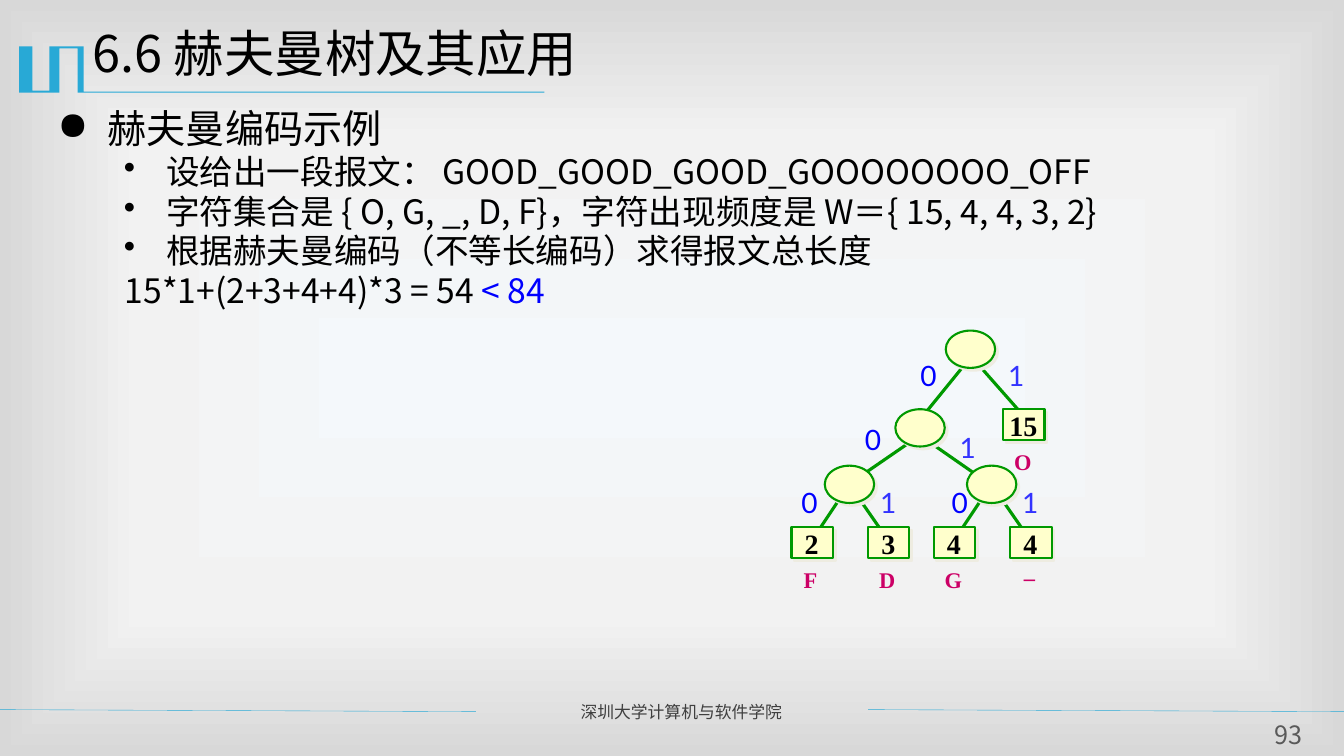
from dataclasses import dataclass

from lxml.etree import SubElement
from pptx import Presentation
from pptx.dml.color import RGBColor
from pptx.enum.shapes import MSO_CONNECTOR as Connector, MSO_SHAPE as Shape
from pptx.enum.text import MSO_ANCHOR as Anchor, PP_ALIGN as Align
from pptx.oxml import parse_xml
from pptx.oxml.ns import nsdecls, qn
from pptx.util import Pt

PX = 9144  # 100 px to the inch


@dataclass(frozen=True)
class Theme:
    sans: str = "Noto Sans CJK SC"
    serif: str = "Times New Roman"
    digits: str = "Lato"
    black: str = "000000"
    accent: str = "28A9D6"
    footer: str = "3F3F3F"
    number: str = "595959"
    blue: str = "0000FF"
    one_bit: str = "3333FF"
    green: str = "009900"
    node: str = "FFFFCC"
    shade: str = "EEECE1"
    symbol: str = "CC0066"
    backdrop: tuple = ((0, "F4F8FB"), (63, "F2F2F2"), (100, "D8D8D8"))
    title_size: int = 36
    head_size: int = 28
    body_size: int = 24
    tree_size: int = 20
    symbol_size: int = 16
    number_size: int = 18
    footer_size: int = 12


THEME = Theme()


def color(value):
    return RGBColor.from_string(value)


# Text
def add_span(para, text, size, tint=THEME.black, face=THEME.sans, bold=False):
    span = para.add_run()
    span.text = text
    span.font.size = Pt(size)
    span.font.bold = bold
    span.font.color.rgb = color(tint)
    span.font.name = face
    SubElement(span.font._element, qn("a:ea")).set("typeface", face)


def add_box(parent, left, top, width, height, anchor=Anchor.TOP, wrap=True):
    box = parent.shapes.add_textbox(left * PX, top * PX, width * PX, height * PX)
    frame = box.text_frame
    frame.word_wrap = wrap
    frame.vertical_anchor = anchor
    return frame


def add_label(parent, middle, top, width, height, text, size, tint):
    frame = add_box(parent, middle - width // 2, top, width, height, Anchor.MIDDLE, False)
    para = frame.paragraphs[0]
    para.alignment = Align.CENTER
    add_span(para, text, size, tint, THEME.serif, True)


def set_indent(para, margin, indent, bullet):
    props = para._p.get_or_add_pPr()
    props.set("marL", str(margin * PX))
    props.set("indent", str(indent * PX))
    if bullet:
        SubElement(props, qn("a:buChar")).set("char", bullet)


# Lines and tree parts
def add_line(parent, start, end, tint, weight):
    line = parent.shapes.add_connector(
        Connector.STRAIGHT, *(value * PX for value in (*start, *end)))
    line.line.color.rgb = color(tint)
    line.line.width = Pt(weight)
    SubElement(line._element.spPr, qn("a:effectLst"))


def add_edge(tree, start, end):
    add_line(tree, start, end, THEME.green, 2.25)


def add_node(tree, kind, left, top, width, height):
    node = tree.shapes.add_shape(kind, left * PX, top * PX, width * PX, height * PX)
    node.fill.solid()
    node.fill.fore_color.rgb = color(THEME.node)
    node.line.color.rgb = color(THEME.green)
    node.line.width = Pt(1.5)
    node.shadow.inherit = False
    effects = node._element.spPr.find(qn("a:effectLst"))
    effects.append(parse_xml(
        f'<a:outerShdw {nsdecls("a")} dist="35560" dir="2700000" algn="ctr" rotWithShape="0">'
        f'<a:srgbClr val="{THEME.shade}"/></a:outerShdw>'))


def add_branch(tree, left, top):
    add_node(tree, Shape.OVAL, left, top, 49, 37)


def add_leaf(tree, left, top, weight, symbol):
    middle = left + 20
    add_node(tree, Shape.RECTANGLE, left, top, 41, 31)
    add_label(tree, middle, top - 6, 34 if len(weight) == 1 else 48, 44,
              weight, THEME.tree_size, THEME.black)
    drop = 24 if symbol == "_" else 33
    add_label(tree, middle - 1, top + drop, 36, 37, symbol, THEME.symbol_size, THEME.symbol)


def add_bit(tree, left, top, bit):
    frame = add_box(tree, left, top, 47, 44)
    tint = THEME.blue if bit == "0" else THEME.one_bit
    add_span(frame.paragraphs[0], bit, THEME.tree_size, tint, THEME.digits)


def add_leaf_pair(tree, left, zero_left, first, second):
    top = 462
    add_edge(tree, (left + 16, top + 31), (left - 8, top + 67))
    add_edge(tree, (left + 33, top + 31), (left + 58, top + 67))
    add_leaf(tree, left - 33, top + 61, *first)
    add_leaf(tree, left + 43, top + 61, *second)
    add_branch(tree, left, top)
    add_bit(tree, zero_left, top + 15, "0")
    add_bit(tree, left + 45, top + 15, "1")


# Slide parts
def paint_background(page):
    page.background.fill.gradient()
    old = page.element.find(".//" + qn("a:gradFill"))
    stops = "".join(f'<a:gs pos="{spot * 1000}"><a:srgbClr val="{tint}"/></a:gs>'
                    for spot, tint in THEME.backdrop)
    old.getparent().replace(old, parse_xml(
        f'<a:gradFill {nsdecls("a")} rotWithShape="1"><a:gsLst>{stops}</a:gsLst>'
        '<a:path path="rect"><a:fillToRect l="50000" t="50000" r="50000" b="50000"/>'
        '</a:path></a:gradFill>'))


def add_title_mark(page):
    outline = [(83, 46), (83, 91), (540, 91), (540, 92), (77, 92), (77, 48), (59, 48),
               (59, 92), (19, 92), (19, 46), (32, 46), (32, 90), (49, 90), (49, 46)]
    builder = page.shapes.build_freeform(*outline[0], scale=PX)
    builder.add_line_segments(outline[1:], close=True)
    mark = builder.convert_to_shape()
    mark.fill.solid()
    mark.fill.fore_color.rgb = color(THEME.accent)
    mark.line.fill.background()
    mark.shadow.inherit = False


def add_footer(page):
    for left in (-1, 861):
        add_line(page, (left, 704), (left + 473, 706), THEME.accent, 0.25)
    name = add_box(page, 566, 691, 285, 30, Anchor.MIDDLE)
    add_span(name.paragraphs[0], "深圳大学计算机与软件学院", THEME.footer_size, THEME.footer)
    number = add_box(page, 1248, 713, 59, 31, Anchor.MIDDLE)
    number.margin_left = number.margin_right = number.margin_top = number.margin_bottom = 0
    number.paragraphs[0].alignment = Align.CENTER
    add_span(number.paragraphs[0], "93", THEME.number_size, THEME.number)


def add_title(page):
    para = add_box(page, 82, 24, 1200, 87).paragraphs[0]
    para.line_spacing = 0.9
    add_span(para, "6.6 赫夫曼树及其应用", THEME.title_size)


def add_body(page):
    frame = add_box(page, 47, 104, 1213, 563)
    lines = [
        ("赫夫曼编码示例", THEME.head_size, 50, -50, "●"),
        ("设给出一段报文： GOOD_GOOD_GOOD_GOOOOOOOO_OFF", THEME.body_size, 108, -42, "•"),
        ("字符集合是 { O, G, _, D, F}，字符出现频度是 W＝{ 15, 4, 4, 3, 2}",
         THEME.body_size, 108, -42, "•"),
        ("根据赫夫曼编码（不等长编码）求得报文总长度", THEME.body_size, 108, -42, "•"),
        ("15*1+(2+3+4+4)*3 = 54 ", THEME.body_size, 67, 0, None),
    ]
    for index, (text, size, margin, indent, bullet) in enumerate(lines):
        para = frame.add_paragraph() if index else frame.paragraphs[0]
        set_indent(para, margin, indent, bullet)
        para.line_spacing = 0.9
        if index:
            para.space_before = Pt(2.4)
        add_span(para, text, size)
    add_span(para, "< 84", THEME.body_size, THEME.blue)


def add_tree(page):
    tree = page.shapes.add_group_shape()
    for start, end in (((975, 367), (1020, 418)), ((959, 359), (920, 407)),
                       ((921, 438), (967, 470)), ((905, 437), (857, 470))):
        add_edge(tree, start, end)
    add_leaf(tree, 995, 406, "15", "O")
    add_branch(tree, 888, 406)
    add_branch(tree, 938, 328)
    add_leaf_pair(tree, 959, 934, ("4", "G"), ("4", "_"))
    add_leaf_pair(tree, 818, 785, ("2", "F"), ("3", "D"))
    for left, top, bit in ((903, 351, "0"), (990, 351, "1"),
                           (848, 414, "0"), (942, 422, "1")):
        add_bit(tree, left, top, bit)


def main():
    deck = Presentation()
    deck.slide_width, deck.slide_height = 1333 * PX, 750 * PX
    page = deck.slides.add_slide(deck.slide_layouts[6])
    paint_background(page)
    add_title_mark(page)
    add_footer(page)
    add_body(page)
    add_title(page)
    add_tree(page)
    deck.save("out.pptx")


if __name__ == "__main__":
    main()
